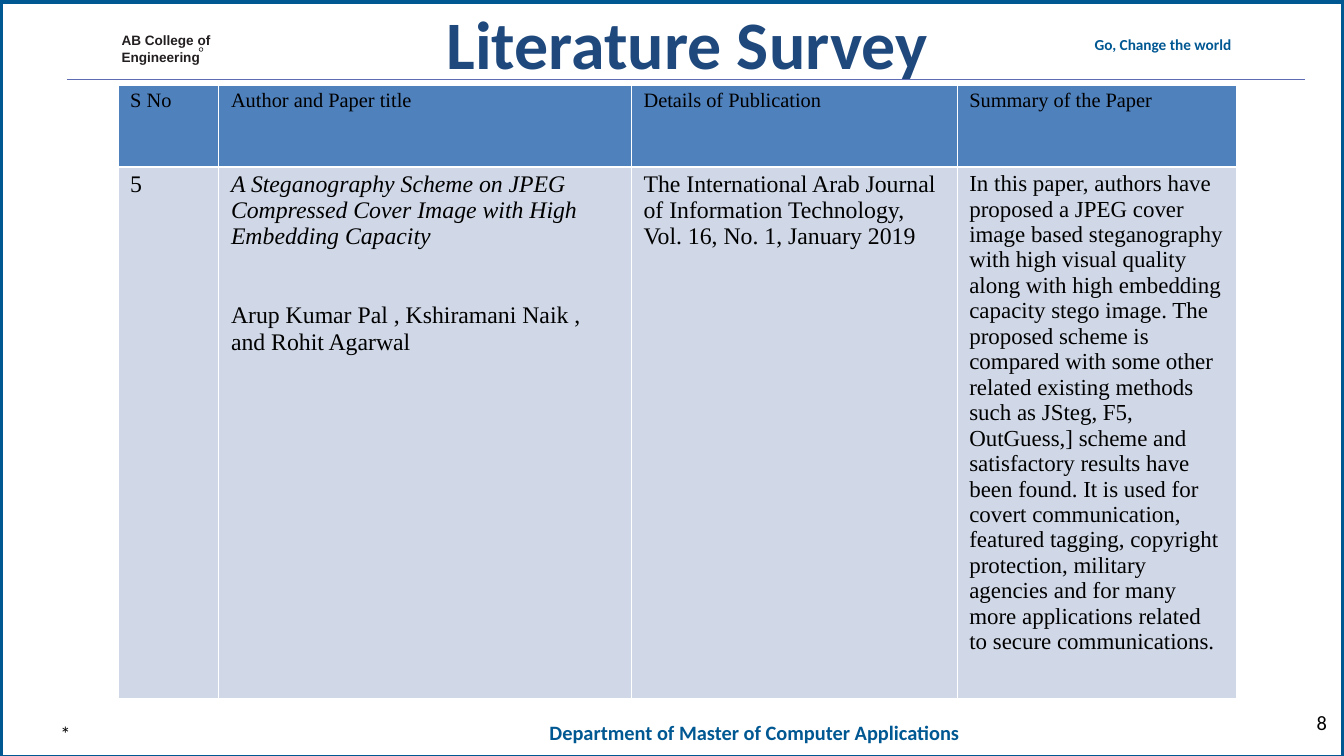
"""Build the literature survey slide with its one-paper table."""
from lxml import etree
from pptx import Presentation
from pptx.dml.color import RGBColor
from pptx.enum import shapes, text
from pptx.oxml import ns
from pptx.util import Inches, Pt

WIDTH, HEIGHT = 21.99, 12.37
BLUE, NAVY, INK, BLACK, WHITE = "005893", "1F497D", "231F20", "000000", "FFFFFF"
HEADER_FILL, BODY_FILL, RULE = "4F81BD", "D0D8E7", "5E6DB3"
SERIF = "Times New Roman"
TITLE = "Literature Survey"
TITLE_AREA = (5.66, 0.02, 11.17, 1.35)
LABELS = [
    (["AB College of", "Engineering"], (1.99, 0.5, 1.5, 0.54),
     dict(size=16, font="Arial", color=INK, bold=True, spacing=1.06)),
    (["Go, Change the world"], (17.91, 0.57, 3.03, 0.32),
     dict(size=18, color=BLUE, bold=True)),
    (["Department of Master of Computer Applications"], (8.99, 11.78, 7.58, 0.42),
     dict(size=24, color=BLUE, bold=True)),
    (["*"], (0.99, 11.8, 5.06, 0.4), dict(size=24)),
    (["8"], (18.74, 11.62, 2.97, 0.4), dict(size=24, align=text.PP_ALIGN.RIGHT)),
]
TABLE_AREA = (1.93, 1.39, 18.3, 10.04)
COLUMNS = [1.65, 6.75, 5.33, 4.57]
ROWS = [1.34, 8.7]
HEADERS = ["S No", "Author and Paper title", "Details of Publication", "Summary of the Paper"]
PAPER_TITLE = ("A Steganography Scheme on JPEG Compressed Cover Image "
               "with High Embedding Capacity")
AUTHORS = "Arup Kumar Pal , Kshiramani Naik , and Rohit Agarwal"
PUBLICATION = ("The International Arab Journal of Information Technology, "
               "Vol. 16, No. 1, January 2019")
SUMMARY = (
    "In this paper, authors have proposed a JPEG cover image based steganography with high "
    "visual quality along with high embedding capacity stego image. The proposed scheme is "
    "compared with some other related existing methods such as JSteg, F5, OutGuess,] scheme "
    "and satisfactory results have been found. It is used for covert communication, featured "
    "tagging, copyright protection, military agencies and for many more applications related "
    "to secure communications.")
PAPER = [
    [("5", dict(size=28))],
    [(PAPER_TITLE, dict(size=28, italic=True)), (AUTHORS, dict(size=28, before=62))],
    [(PUBLICATION, dict(size=28))],
    [(SUMMARY, dict(size=27))],
]


def rgb(value):
    return RGBColor.from_string(value)


def inches(area):
    return [Inches(length) for length in area]


def write(para, words, size=24, font="Calibri", color=BLACK, bold=False, italic=False,
          align=text.PP_ALIGN.LEFT, before=0, spacing=1.0):
    para.alignment = align
    para.space_before = Pt(before)
    para.line_spacing = spacing
    span = para.add_run()
    span.text = words
    span.font.size = Pt(size)
    span.font.name = font
    span.font.color.rgb = rgb(color)
    span.font.bold = bold
    span.font.italic = italic


def prepare(frame):
    frame.margin_left = frame.margin_right = frame.margin_top = frame.margin_bottom = 0
    frame.word_wrap = True
    frame.auto_size = text.MSO_AUTO_SIZE.NONE
    frame.vertical_anchor = text.MSO_ANCHOR.TOP


def add_title(page):
    title = page.shapes.title
    title.left, title.top, title.width, title.height = inches(TITLE_AREA)
    prepare(title.text_frame)
    write(title.text_frame.paragraphs[0], TITLE, size=80, color=NAVY, bold=True,
          align=text.PP_ALIGN.CENTER)


def add_frame(page):
    border = page.shapes.add_shape(shapes.MSO_SHAPE.RECTANGLE,
                                   *inches((0, 0.02, WIDTH, HEIGHT)))
    border.shadow.inherit = False
    border.fill.solid()
    border.fill.fore_color.rgb = rgb(WHITE)
    border.line.color.rgb = rgb(BLUE)
    border.line.width = Pt(6)
    page.shapes.title.element.addprevious(border.element)

    rule = page.shapes.add_connector(shapes.MSO_CONNECTOR.STRAIGHT,
                                     *inches((1.1, 1.3, 21.36, 1.3)))
    rule.line.color.rgb = rgb(RULE)
    rule.line.width = Pt(1.25)
    etree.SubElement(rule.element.spPr, ns.qn("a:effectLst"))

    mark = page.shapes.add_shape(shapes.MSO_SHAPE.OVAL, *inches((3.26, 0.78, 0.06, 0.06)))
    mark.shadow.inherit = False
    mark.fill.background()
    mark.line.color.rgb = rgb(INK)
    mark.line.width = Pt(0.75)


def add_label(page, lines, area, style):
    frame = page.shapes.add_textbox(*inches(area)).text_frame
    prepare(frame)
    for index, words in enumerate(lines):
        para = frame.add_paragraph() if index else frame.paragraphs[0]
        write(para, words, **style)


def add_borders(cell, widths):
    for side, width in widths.items():
        line = etree.SubElement(cell._tc.get_or_add_tcPr(), ns.qn(f"a:ln{side}"),
                                w=str(Pt(width)))
        fill = etree.SubElement(line, ns.qn("a:solidFill"))
        etree.SubElement(fill, ns.qn("a:srgbClr"), val=WHITE)


def fill_cell(cell, paras, color, widths):
    cell.margin_left = cell.margin_right = Inches(0.2)
    cell.margin_top = cell.margin_bottom = Inches(0.07)
    add_borders(cell, widths)
    cell.fill.solid()
    cell.fill.fore_color.rgb = rgb(color)
    for index, (words, style) in enumerate(paras):
        para = cell.text_frame.add_paragraph() if index else cell.text_frame.paragraphs[0]
        write(para, words, font=SERIF, **style)


def add_survey(page):
    table = page.shapes.add_table(len(ROWS), len(COLUMNS), *inches(TABLE_AREA)).table
    for column, width in zip(table.columns, COLUMNS):
        column.width = Inches(width)
    for row, height in zip(table.rows, ROWS):
        row.height = Inches(height)
    thin, thick = 0.96, 3
    for index, (header, paras) in enumerate(zip(HEADERS, PAPER)):
        fill_cell(table.cell(0, index), [(header, {})], HEADER_FILL,
                  dict(L=thin, R=thin, T=thin, B=thick))
        fill_cell(table.cell(1, index), paras, BODY_FILL,
                  dict(L=thin, R=thin, T=thick, B=thin))


def main():
    deck = Presentation()
    deck.slide_width, deck.slide_height = inches((WIDTH, HEIGHT))
    page = deck.slides.add_slide(deck.slide_layouts.get_by_name("Title Only"))
    add_title(page)
    add_frame(page)
    for lines, area, style in LABELS:
        add_label(page, lines, area, style)
    add_survey(page)
    deck.save("out.pptx")


if __name__ == "__main__":
    main()
